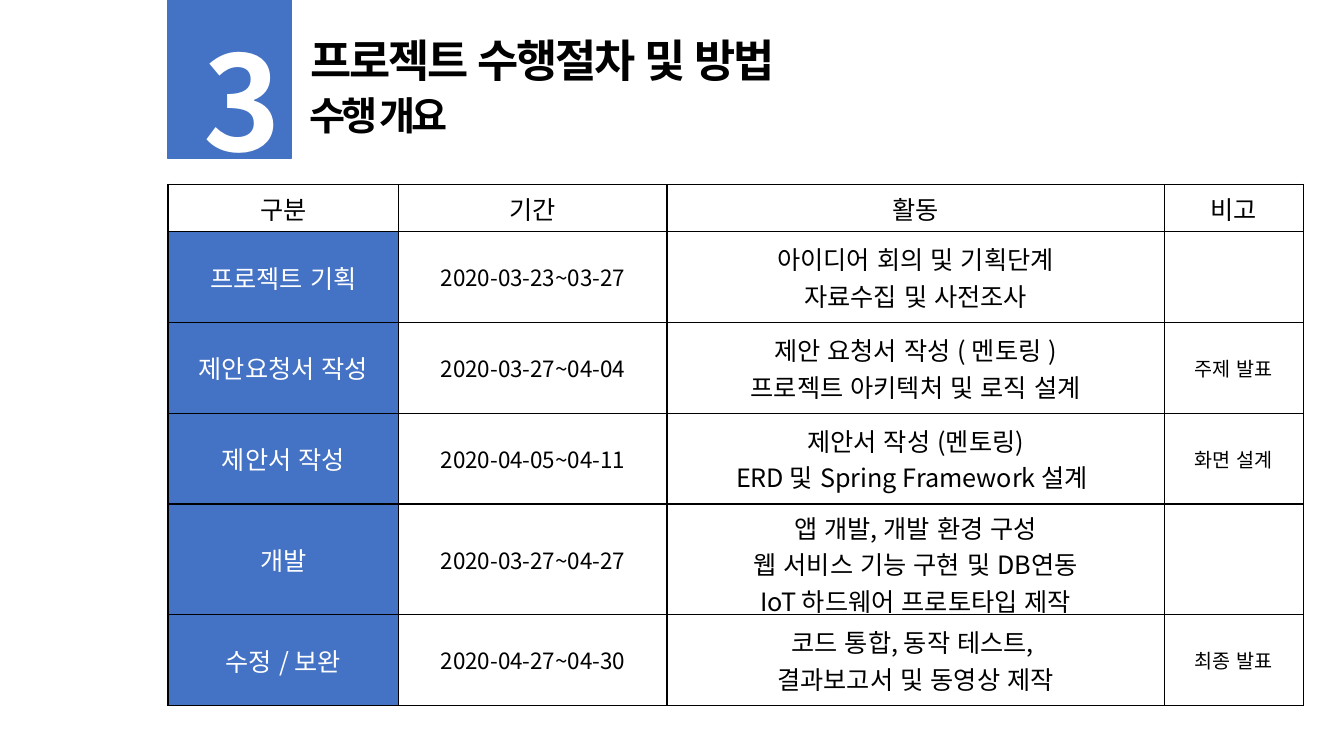
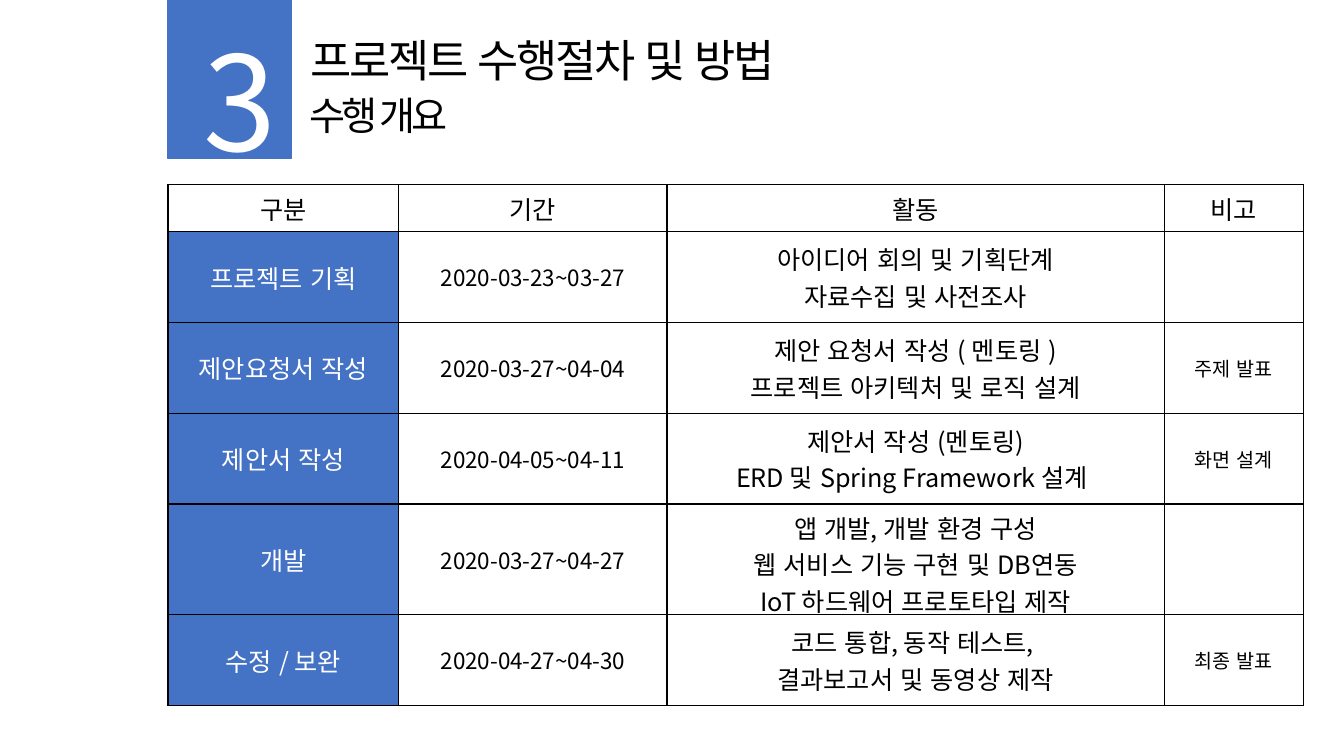
from lxml.etree import SubElement
from pptx import Presentation
from pptx.dml.color import RGBColor
from pptx.enum.shapes import MSO_SHAPE
from pptx.enum.text import MSO_ANCHOR, MSO_AUTO_SIZE, PP_ALIGN
from pptx.oxml.ns import qn
from pptx.util import Inches, Pt

# Shared style
COLORS = {"accent": "4472C4", "text": "000000", "light": "FFFFFF", "border": "000000"}
FONT = "Noto Sans CJK KR"
WIDTH, HEIGHT = 13.33, 7.5
LEFT = WIDTH / 8
BAND_WIDTH, BAND_HEIGHT = 1.22, HEIGHT * 0.21
TABLE_TOP = 1.83

# Heading boxes: text, left, top, width, height, top inset, size, colour, letter spacing
HEADINGS = [
    ("프로젝트 수행절차 및 방법", 2.98, 0.28, 5.32, 0.64, 0.05, 32, "text", -1.5),
    ("3", 1.92, 0.15, 0.97, 1.68, 0.05, 94, "light", 0),
    ("수행 개요", 2.97, 0.79, 1.8, 0.64, 0.12, 28, "text", -3),
]

# Table grid; each cell is a list of paragraphs, "\n" breaks a line inside one
COLUMNS = [2.29, 2.66, 4.93, 1.38]
ROWS = [0.47, 0.9, 0.9, 0.9, 1.1, 0.9]
COLUMN_SIZES = [18, 16, 18, 14]
HEADER_SIZE = 18
SCHEDULE = [
    [["구분"], ["기간"], ["활동"], ["비고"]],
    [["프로젝트 기획"], ["2020-03-23~03-27"],
     ["아이디어 회의 및 기획단계", "자료수집 및 사전조사"], []],
    [["제안요청서 작성"], ["2020-03-27~04-04"],
     ["제안 요청서 작성 ( 멘토링 )", "프로젝트 아키텍처 및 로직 설계"], ["주제 발표"]],
    [["제안서 작성"], ["2020-04-05~04-11"],
     ["제안서 작성 (멘토링)", "ERD 및 Spring Framework 설계 "], ["화면 설계"]],
    [["개발"], ["2020-03-27~04-27"],
     ["앱 개발, 개발 환경 구성\n웹 서비스 기능 구현 및 DB연동\nIoT 하드웨어 프로토타입 제작"], []],
    [["수정 / 보완"], ["2020-04-27~04-30"],
     ["코드 통합, 동작 테스트, \n결과보고서 및 동영상 제작"], ["최종 발표"]],
]


def add_text(paragraph, text, size, color, bold=False, spacing=0):
    for index, line in enumerate(text.split("\n")):
        if index:
            paragraph.add_line_break()
        run = paragraph.add_run()
        run.text = line
        run.font.size = Pt(size)
        run.font.bold = bold
        run.font.color.rgb = RGBColor.from_string(COLORS[color])
        run.font.name = FONT
        properties = run.font._element
        SubElement(properties, qn("a:ea")).set("typeface", FONT)
        properties.set("lang", "ko-KR")
        if spacing:
            properties.set("spc", str(int(spacing * 100)))


def add_borders(cell):
    properties = cell._tc.get_or_add_tcPr()
    for side in ("lnL", "lnR", "lnT", "lnB"):
        line = SubElement(properties, qn(f"a:{side}"), w=str(Pt(1)))
        fill = SubElement(line, qn("a:solidFill"))
        SubElement(fill, qn("a:srgbClr"), val=COLORS["border"])


presentation = Presentation()
presentation.slide_width = Inches(WIDTH)
presentation.slide_height = Inches(HEIGHT)

# The first slide has bold headings, the second regular ones
for bold in (True, False):
    slide = presentation.slides.add_slide(presentation.slide_layouts[6])

    # Number band
    band = slide.shapes.add_shape(MSO_SHAPE.RECTANGLE, Inches(LEFT), 0,
                                  Inches(BAND_WIDTH), Inches(BAND_HEIGHT))
    band.shadow.inherit = False
    band.fill.solid()
    band.fill.fore_color.rgb = RGBColor.from_string(COLORS["accent"])
    band.line.color.rgb = RGBColor.from_string(COLORS["accent"])
    band.line.width = Pt(1)

    # Headings
    for text, left, top, width, height, inset, size, color, spacing in HEADINGS:
        box = slide.shapes.add_textbox(*map(Inches, (left, top, width, height)))
        frame = box.text_frame
        frame.word_wrap = False
        frame.auto_size = MSO_AUTO_SIZE.SHAPE_TO_FIT_TEXT
        frame.margin_top = Inches(inset)
        add_text(frame.paragraphs[0], text, size, color, bold, spacing)

    # Schedule table
    table = slide.shapes.add_table(len(ROWS), len(COLUMNS), Inches(LEFT), Inches(TABLE_TOP),
                                   Inches(sum(COLUMNS)), Inches(sum(ROWS))).table
    table.first_row = False
    table.horz_banding = False
    for column, width in zip(table.columns, COLUMNS):
        column.width = Inches(width)
    for row, height in zip(table.rows, ROWS):
        row.height = Inches(height)

    for row_index, entries in enumerate(SCHEDULE):
        for column_index, lines in enumerate(entries):
            cell = table.cell(row_index, column_index)
            is_label = row_index > 0 and column_index == 0
            size = COLUMN_SIZES[column_index] if row_index else HEADER_SIZE
            cell.vertical_anchor = MSO_ANCHOR.MIDDLE
            add_borders(cell)
            if is_label:
                cell.fill.solid()
                cell.fill.fore_color.rgb = RGBColor.from_string(COLORS["accent"])
            else:
                cell.fill.background()
            for index, text in enumerate(lines):
                frame = cell.text_frame
                paragraph = frame.add_paragraph() if index else frame.paragraphs[0]
                paragraph.alignment = PP_ALIGN.CENTER
                add_text(paragraph, text, size, "light" if is_label else "text")

presentation.save("out.pptx")
